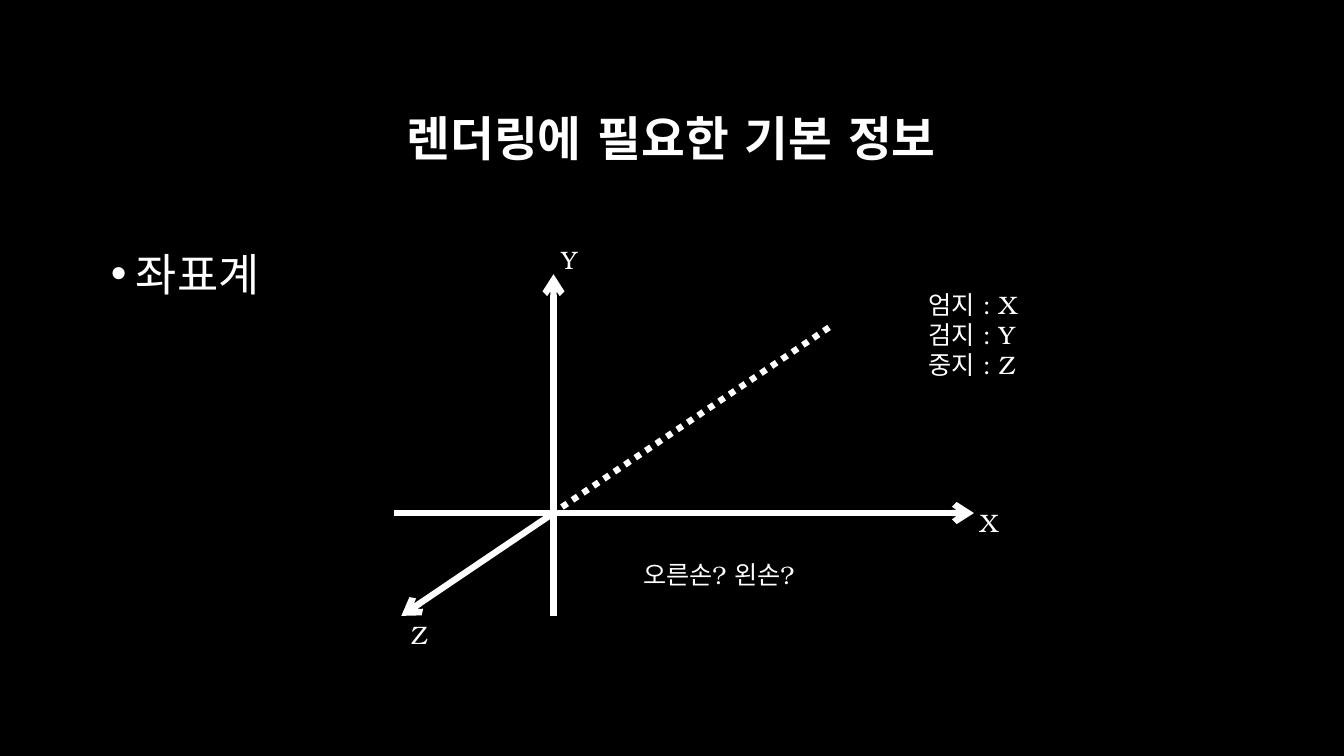
import pptx
import pptx.dml.color
import pptx.enum.dml
import pptx.enum.shapes
import pptx.enum.text
import pptx.oxml
import pptx.oxml.ns
import pptx.util
from pptx.util import Inches

COLORS = {"background": "000000", "foreground": "FFFFFF"}
FONT = "TeX Gyre Bonum"


def rgb(name):
    return pptx.dml.color.RGBColor.from_string(COLORS[name])


def add_xml(parent, tag, **attributes):
    element = pptx.oxml.parse_xml(f"<a:{tag} {pptx.oxml.ns.nsdecls('a')}/>")
    for key, value in attributes.items():
        element.set(key, value)
    parent.append(element)
    return element


def style_paragraph(p, size, bold=False):
    """Set the font for Latin and Korean text alike."""
    p.font.name = FONT
    p.font.size = pptx.util.Pt(size)
    p.font.bold = bold
    p.font.color.rgb = rgb("foreground")
    add_xml(p._p.pPr.find(pptx.oxml.ns.qn("a:defRPr")), "ea", typeface=FONT)


def place(shape, left, top, width, height):
    shape.left, shape.top = Inches(left), Inches(top)
    shape.width, shape.height = Inches(width), Inches(height)


def add_title(s, text):
    title = s.shapes.title
    place(title, 1, 0.67, 11.32, 1.45)
    tf = title.text_frame
    tf.text = text
    tf.vertical_anchor = pptx.enum.text.MSO_ANCHOR.MIDDLE
    p = tf.paragraphs[0]
    p.alignment = pptx.enum.text.PP_ALIGN.CENTER
    p.line_spacing = 0.9
    style_paragraph(p, 34, bold=True)


def add_text(s, text, left, top, width, height=0.4, size=18):
    tf = s.shapes.add_textbox(Inches(left), Inches(top),
                              Inches(width), Inches(height)).text_frame
    tf.word_wrap = True
    tf.text = text
    for p in tf.paragraphs:
        style_paragraph(p, size)
    return tf


def add_bullet(s, text):
    p = add_text(s, text, 1, 2.29, 11.32, 4.04, size=32).paragraphs[0]
    p.line_spacing = 1.2
    p.space_before = pptx.util.Pt(10)
    pPr = p._p.pPr
    pPr.set("marL", str(Inches(0.25)))
    pPr.set("indent", str(Inches(-0.25)))
    bullet_font = add_xml(pPr, "buFont", typeface="Arial")
    bullet = add_xml(pPr, "buChar", char="•")
    defaults = pPr.find(pptx.oxml.ns.qn("a:defRPr"))
    defaults.addprevious(bullet_font)
    defaults.addprevious(bullet)


def add_axis(s, start, end, arrow=True):
    """Draw a solid axis with an arrow at its end, or a dotted one without."""
    axis = s.shapes.add_connector(pptx.enum.shapes.MSO_CONNECTOR.STRAIGHT,
                                  *map(Inches, start + end))
    axis.line.color.rgb = rgb("foreground")
    axis.line.width = pptx.util.Pt(4.5)
    if arrow:
        add_xml(axis.line._get_or_add_ln(), "tailEnd", type="arrow")
    else:
        axis.line.dash_style = pptx.enum.dml.MSO_LINE.ROUND_DOT
    add_xml(axis._element.spPr, "effectLst")


def main():
    prs = pptx.Presentation()
    prs.slide_width, prs.slide_height = Inches(13.33), Inches(7.5)
    s = prs.slides.add_slide(prs.slide_layouts[5])
    s.background.fill.solid()
    s.background.fill.fore_color.rgb = rgb("background")

    add_title(s, "렌더링에 필요한 기본 정보")
    add_bullet(s, "좌표계")

    add_axis(s, (3.91, 5.09), (9.66, 5.09))
    add_axis(s, (5.49, 6.11), (5.49, 2.72))
    add_axis(s, (5.47, 5.1), (8.25, 3.23), arrow=False)
    add_axis(s, (5.49, 5.09), (3.98, 6.11))

    for name, left, top in (("X", 9.62, 4.98), ("Z", 3.98, 6.09), ("Y", 5.47, 2.37)):
        add_text(s, name, left, top, 0.43)
    add_text(s, "오른손? 왼손?", 6.28, 5.5, 2.05)
    add_text(s, "엄지 : X\n검지 : Y\n중지 : Z", 9.11, 2.82, 2.14, 1.01)

    prs.save("out.pptx")


if __name__ == "__main__":
    main()
